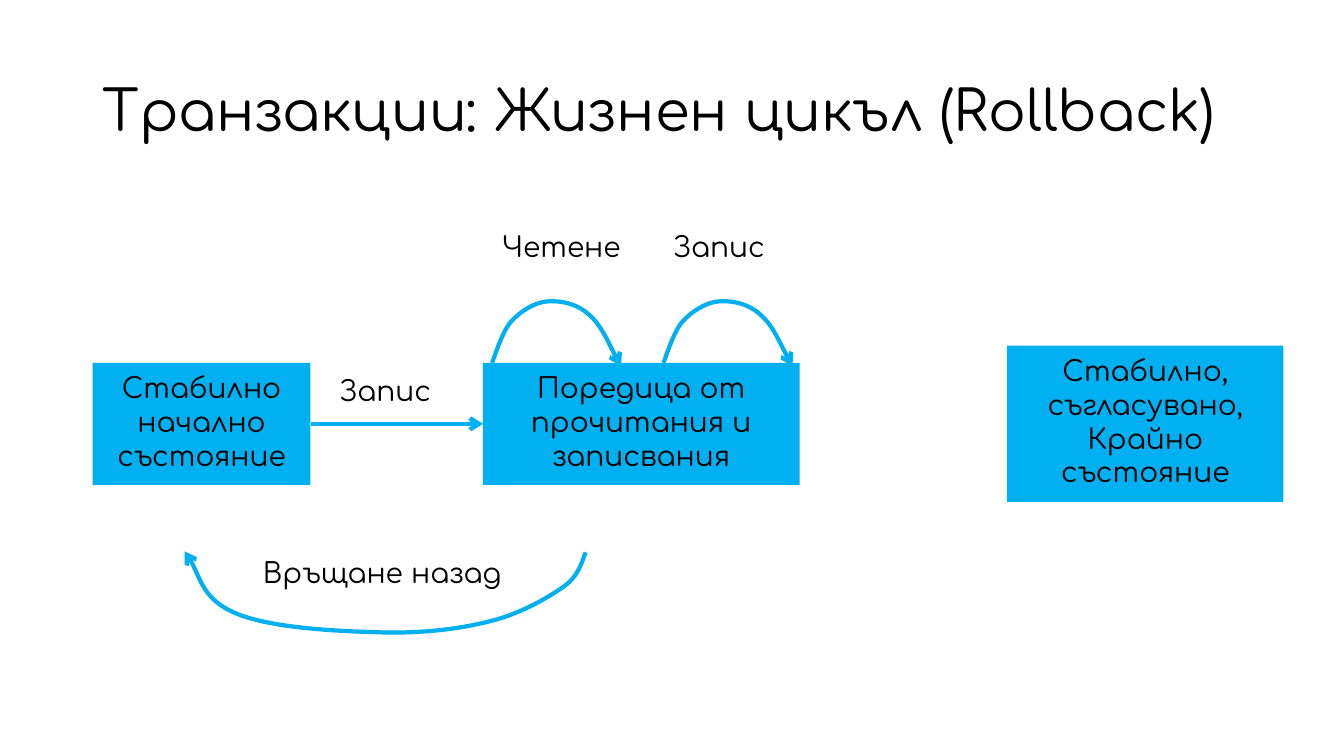
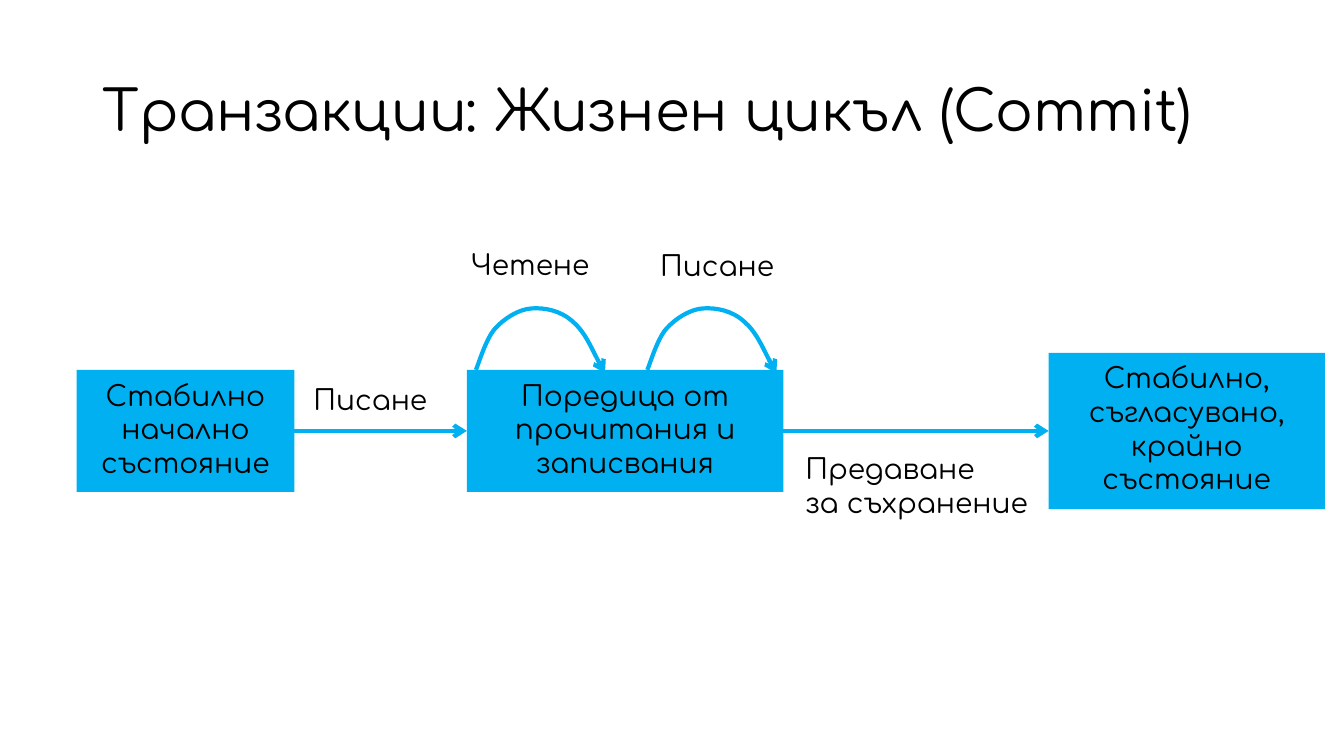
from dataclasses import dataclass
from typing import Any

from lxml import etree
from pptx import Presentation
from pptx.dml.color import RGBColor
from pptx.enum.shapes import MSO_CONNECTOR, MSO_SHAPE
from pptx.enum.text import MSO_ANCHOR, PP_ALIGN
from pptx.oxml.ns import qn
from pptx.util import Pt

EMU_PER_PX = 9144  # 100 px to the inch
SLIDE_SIZE = (1333, 750)
RECTANGLE = MSO_SHAPE.RECTANGLE
STRAIGHT = MSO_CONNECTOR.STRAIGHT
TOP, MIDDLE = MSO_ANCHOR.TOP, MSO_ANCHOR.MIDDLE
CENTER = PP_ALIGN.CENTER
LEFT_SIDE, RIGHT_SIDE = 1, 3

COLORS = {"accent": "00B0F0", "text": "000000"}
FONT = "Comfortaa"
LINE_WIDTH = Pt(3)
LABEL_HEIGHT = 44
TITLE_AREA = (92, 40, 1150, 145)

# Layout shared by both diagrams, measured from the initial state
STATE_SIZE = (216, 121)
PROCESS_SIZE = (314, 121)
FINAL_SIZE = (274, 155)
PROCESS_OFFSET = 387
LOOP_OFFSETS = (9, 179)

# Start point, then two control points and an end point for each curve
LOOP = [(0, 0), (3, -7), (10, -31), (19, -41), (28, -51), (42, -60), (55, -61),
        (68, -62), (84, -59), (96, -48), (108, -38), (121, -8), (128, 3)]
ROLLBACK = [(581, 548), (578, 554), (575, 571), (559, 582), (542, 594), (514, 610),
            (483, 617), (451, 625), (411, 629), (369, 627), (328, 626), (264, 622),
            (233, 608), (202, 595), (194, 559), (183, 547)]


@dataclass(frozen=True)
class Label:
    text: str
    left: int
    top: int
    width: int
    height: int = LABEL_HEIGHT


@dataclass(frozen=True)
class Lifecycle:
    title: str
    origin: tuple[int, int]
    final_left: int
    final_text: str
    labels: tuple[Label, ...]
    committed: bool


LIFECYCLES = (
    Lifecycle(
        "Транзакции: Жизнен цикъл (Rollback)", (92, 360), 999,
        "Стабилно,\nсъгласувано,\nКрайно състояние",
        (Label("Връщане назад", 251, 546, 259), Label("Четене", 488, 223, 139),
         Label("Запис", 658, 223, 112), Label("Запис", 327, 366, 112)),
        committed=False),
    Lifecycle(
        "Транзакции: Жизнен цикъл (Commit)", (76, 367), 1040,
        "Стабилно,\nсъгласувано,\nкрайно състояние",
        (Label("Предаване\vза съхранение", 789, 443, 268, 77),
         Label("Четене", 457, 241, 139), Label("Писане", 645, 242, 134),
         Label("Писане", 301, 375, 134)),
        committed=True),
)


def px(value: float) -> int:
    return round(value * EMU_PER_PX)


def color(name: str) -> RGBColor:
    return RGBColor.from_string(COLORS[name])


def apply_format(target: Any, values: dict[str, Any]) -> None:
    for attribute, value in values.items():
        setattr(target, attribute, value)


def write_text(shape: Any, text: str, size: int, frame_format: dict[str, Any],
               paragraph_format: dict[str, Any]) -> None:
    frame = shape.text_frame
    frame.text = text
    apply_format(frame, frame_format)
    for paragraph in frame.paragraphs:
        apply_format(paragraph, paragraph_format)
        for run in paragraph.runs:
            apply_format(run.font, {"name": FONT, "size": Pt(size)})
            run.font.color.rgb = color("text")


def add_title(slide: Any, title: str) -> None:
    box = slide.shapes.add_textbox(*map(px, TITLE_AREA))
    write_text(box, title, 40, {"word_wrap": True, "vertical_anchor": MIDDLE},
               {"line_spacing": 0.9})


def add_label(slide: Any, label: Label) -> None:
    box = slide.shapes.add_textbox(px(label.left), px(label.top),
                                   px(label.width), px(label.height))
    write_text(box, label.text, 20, {"word_wrap": label.height > LABEL_HEIGHT}, {})


def add_state(slide: Any, text: str, left: int, top: float, size: tuple[int, int],
              side_margin: int = 10) -> Any:
    state = slide.shapes.add_shape(RECTANGLE, px(left), px(top), *map(px, size))
    state.shadow.inherit = False
    state.fill.solid()
    state.fill.fore_color.rgb = color("accent")
    state.line.fill.background()
    write_text(state, text, 20,
               {"word_wrap": True, "vertical_anchor": TOP,
                "margin_left": px(side_margin), "margin_right": px(side_margin),
                "margin_top": px(8), "margin_bottom": px(12)},
               {"alignment": CENTER})
    return state


def style_arrow(line: Any) -> None:
    line.color.rgb = color("accent")
    line.width = LINE_WIDTH
    outline = line.color and line._get_or_add_ln()
    etree.SubElement(outline, qn("a:tailEnd"), type="arrow")


def add_transition(slide: Any, source: Any, target: Any) -> None:
    arrow = slide.shapes.add_connector(STRAIGHT, 0, 0, 0, 0)
    arrow.begin_connect(source, RIGHT_SIDE)
    arrow.end_connect(target, LEFT_SIDE)
    style_arrow(arrow.line)
    etree.SubElement(arrow._element.spPr, qn("a:effectLst"))


def add_curve(slide: Any, points: list[tuple[int, int]], left: int = 0,
              top: int = 0) -> None:
    (start_x, start_y), *rest = [(left + x, top + y) for x, y in points]
    builder = slide.shapes.build_freeform(start_x, start_y, scale=EMU_PER_PX)
    builder.add_line_segments(rest, close=False)
    curve = builder.convert_to_shape()
    # Every three segments become one cubic curve
    segments = list(curve._element.iter(qn("a:lnTo")))
    for first in range(0, len(segments), 3):
        group = segments[first:first + 3]
        cubic = etree.Element(qn("a:cubicBezTo"))
        group[0].addprevious(cubic)
        for segment in group:
            cubic.append(segment[0])
            segment.getparent().remove(segment)
    curve.shadow.inherit = False
    curve.fill.background()
    style_arrow(curve.line)


def add_lifecycle(slide: Any, cycle: Lifecycle) -> None:
    add_title(slide, cycle.title)
    left, top = cycle.origin
    process_left = left + PROCESS_OFFSET
    final_top = top + (PROCESS_SIZE[1] - FINAL_SIZE[1]) / 2

    # States
    initial = add_state(slide, "Стабилно начално състояние", left, top, STATE_SIZE)
    process = add_state(slide, "Поредица от прочитания и записвания",
                        process_left, top, PROCESS_SIZE)
    final = add_state(slide, cycle.final_text, cycle.final_left, final_top,
                      FINAL_SIZE, side_margin=12)

    # Transitions
    add_transition(slide, initial, process)
    for offset in LOOP_OFFSETS:
        add_curve(slide, LOOP, process_left + offset, top)
    if cycle.committed:
        add_transition(slide, process, final)
    else:
        add_curve(slide, ROLLBACK)

    for label in cycle.labels:
        add_label(slide, label)


def main() -> None:
    presentation = Presentation()
    width, height = map(px, SLIDE_SIZE)
    apply_format(presentation, {"slide_width": width, "slide_height": height})
    blank = presentation.slide_layouts[6]
    for cycle in LIFECYCLES:
        add_lifecycle(presentation.slides.add_slide(blank), cycle)
    presentation.save("out.pptx")


if __name__ == "__main__":
    main()
